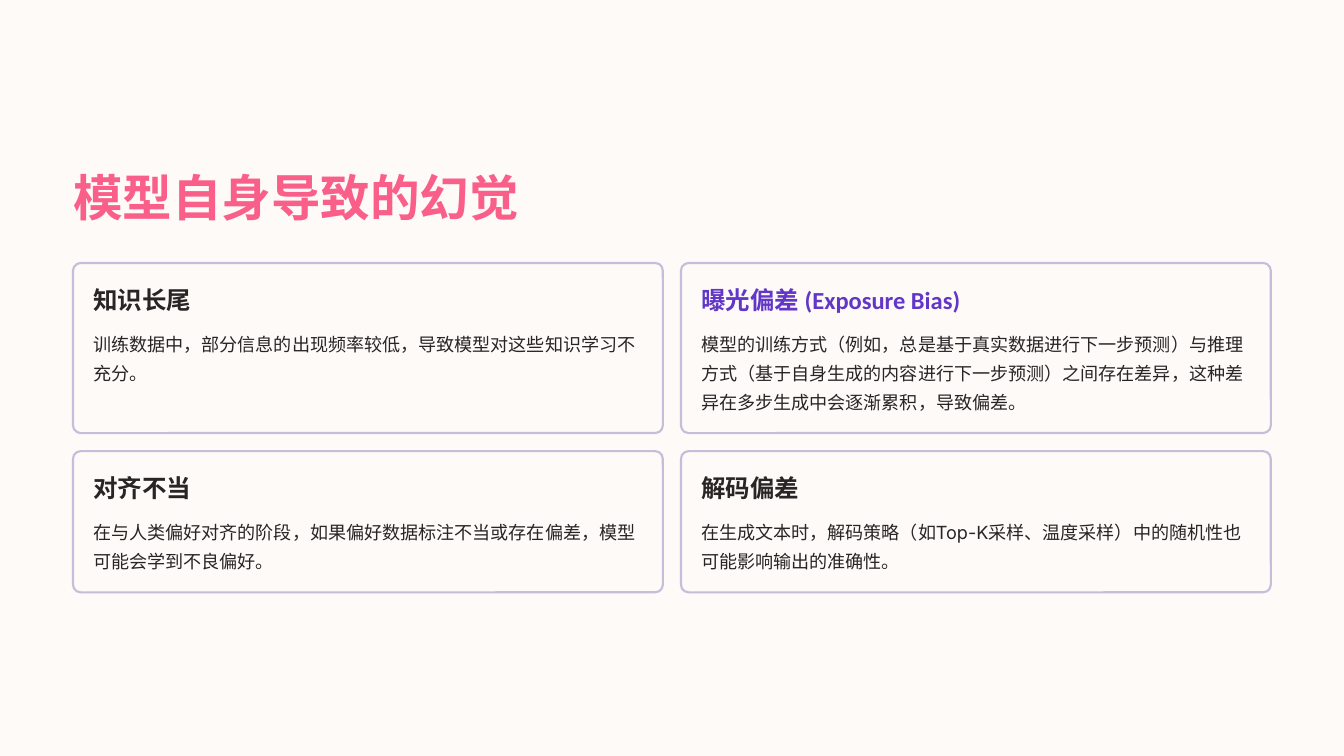
from pptx import Presentation
from pptx.dml.color import RGBColor
from pptx.enum.shapes import MSO_SHAPE as Preset
from pptx.enum.text import MSO_ANCHOR as Anchor, MSO_AUTO_SIZE as AutoSize, PP_ALIGN as Align
from pptx.util import Pt

CREAM, PINK, INK, PURPLE, LILAC = "FDFAF7", "F95F88", "272525", "6237C8", "C6BDDA"
LEFT, TOP = 62.6, 225.4
CARD_WIDTH, GAP, PADDING, RADIUS = 505.6, 15.5, 17.3, 6.55
ROW_HEIGHTS = (145.8, 121)

# Rows of cards: heading, heading colour, explanation
CARDS = (
    (
        ("知识长尾", INK, "训练数据中，部分信息的出现频率较低，导致模型对这些知识学习不充分。"),
        ("曝光偏差 (Exposure Bias)", PURPLE,
         "模型的训练方式（例如，总是基于真实数据进行下一步预测）与推理方式"
         "（基于自身生成的内容进行下一步预测）之间存在差异，"
         "这种差异在多步生成中会逐渐累积，导致偏差。"),
    ),
    (
        ("对齐不当", INK,
         "在与人类偏好对齐的阶段，如果偏好数据标注不当或存在偏差，模型可能会学到不良偏好。"),
        ("解码偏差", INK,
         "在生成文本时，解码策略（如Top-K采样、温度采样）中的随机性也可能影响输出的准确性。"),
    ),
)


def color(value):
    return RGBColor.from_string(value)


def write(box, text, font, size, leading, ink, bold=False, wrap=False):
    frame = box.text_frame
    frame.auto_size = AutoSize.NONE
    frame.word_wrap = wrap
    frame.vertical_anchor = Anchor.TOP
    frame.margin_left = frame.margin_top = frame.margin_right = frame.margin_bottom = 0
    paragraph = frame.paragraphs[0]
    paragraph.alignment = Align.LEFT
    paragraph.line_spacing = Pt(leading)
    run = paragraph.add_run()
    run.text = text
    run.font.name = font
    run.font.size = Pt(size)
    run.font.bold = bold
    run.font.color.rgb = color(ink)


def add_title(slide, text):
    title = slide.shapes.title
    title.left, title.top, title.width, title.height = Pt(LEFT), Pt(140.4), Pt(430), Pt(54)
    write(title, text, "Calibri", 42.5, 53.5, PINK, bold=True)


def add_card(slide, left, top, height, heading, heading_color, explanation):
    # Rounded frame
    frame = slide.shapes.add_shape(
        Preset.ROUNDED_RECTANGLE, Pt(left), Pt(top), Pt(CARD_WIDTH), Pt(height))
    frame.adjustments[0] = RADIUS / height
    frame.shadow.inherit = False
    frame.fill.solid()
    frame.fill.fore_color.rgb = color(CREAM)
    frame.line.color.rgb = color(LILAC)
    frame.line.width = Pt(1.8)

    # Heading and explanation
    text_left, text_width = Pt(left + PADDING), Pt(CARD_WIDTH - 2 * PADDING)
    heading_box = slide.shapes.add_textbox(text_left, Pt(top + PADDING), text_width, Pt(26.5))
    write(heading_box, heading, "Calibri", 21, 26.5, heading_color, bold=True)
    explanation_top = top + 53.6
    explanation_box = slide.shapes.add_textbox(
        text_left, Pt(explanation_top), text_width, Pt(top + height - PADDING - explanation_top))
    write(explanation_box, explanation, "Inter", 15.5, 25, INK, wrap=True)


def main():
    deck = Presentation()
    deck.slide_width, deck.slide_height = Pt(1152), Pt(648)
    slide = deck.slides.add_slide(deck.slide_layouts.get_by_name("Title Only"))
    slide.background.fill.solid()
    slide.background.fill.fore_color.rgb = color(CREAM)

    add_title(slide, "模型自身导致的幻觉")

    # Two-by-two grid of causes
    top = TOP
    for height, cards in zip(ROW_HEIGHTS, CARDS):
        for column, card in enumerate(cards):
            add_card(slide, LEFT + column * (CARD_WIDTH + GAP), top, height, *card)
        top += height + GAP

    deck.save("out.pptx")


if __name__ == "__main__":
    main()
